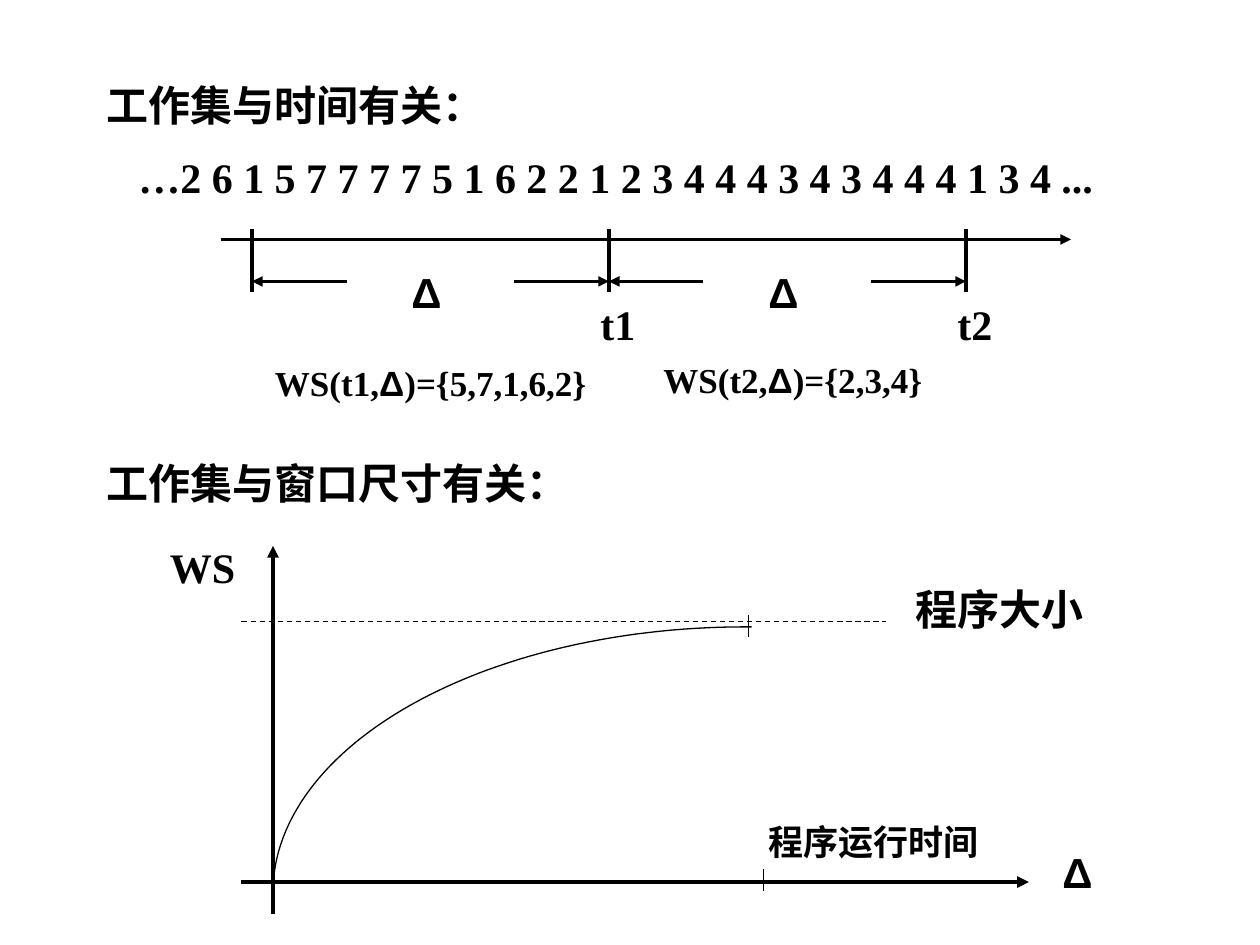
import math

from lxml import etree
from pptx import Presentation
from pptx.dml.color import RGBColor
from pptx.enum.dml import MSO_LINE
from pptx.enum.shapes import MSO_CONNECTOR
from pptx.oxml.ns import qn
from pptx.util import Inches, Pt

STRAIGHT = MSO_CONNECTOR.STRAIGHT
DASH = MSO_LINE.DASH
CELL = Inches(1) // 12
SERIF, SANS, LABEL = "Times New Roman", "Arial", "Roboto"
BLACK = "000000"


def rgb(value):
    return RGBColor.from_string(value)


def cells(*values):
    return [round(v * CELL) for v in values]


def add_text(slide, x, y, w, runs, h=6, size=24):
    tb = slide.shapes.add_textbox(*cells(x, y, w, h))
    tf = tb.text_frame
    tf.word_wrap = True
    p = tf.paragraphs[0]
    for text, font in runs:
        r = p.add_run()
        r.text = text
        for key, value in {"name": font, "size": Pt(size), "bold": True}.items():
            setattr(r.font, key, value)
        r.font.color.rgb = rgb(BLACK)


def add_line(slide, x1, y1, x2, y2, width, arrow=False, dash=None):
    c = slide.shapes.add_connector(STRAIGHT, *cells(x1, y1, x2, y2))
    c.line.color.rgb = rgb(BLACK)
    for key, value in {"width": Pt(width), "dash_style": dash}.items():
        setattr(c.line, key, value)
    if arrow:
        ln = c.line._get_or_add_ln()
        etree.SubElement(ln, qn("a:tailEnd"), type="triangle")
    etree.SubElement(c._element.spPr, qn("a:effectLst"))


def add_heading(slide, x, y, text):
    add_text(slide, x, y, 97, [(text, SERIF)])


def add_timeline(slide, x, y):
    pages = "…2 6 1 5 7 7 7 7 5 1 6 2 2 1 2 3 4 4 4 3 4 3 4 4 4 1 3 4 ..."
    add_text(slide, x, y, 101, [(pages, SERIF)])
    add_line(slide, x + 9, y + 9, x + 90, y + 9, 2, arrow=True)

    window = 34
    ticks = [x + 12 + i * window for i in range(3)]
    for tick in ticks:
        add_line(slide, tick, y + 8, tick, y + 14, 1.75)
    for name, start, end in zip(("t1", "t2"), ticks, ticks[1:]):
        add_line(slide, start + 9, y + 13, start, y + 13, 2, arrow=True)
        add_line(slide, end - 9, y + 13, end, y + 13, 2, arrow=True)
        add_text(slide, start + 14, y + 11, 7, [("Δ", SANS)])
        add_text(slide, end - 2, y + 14, 6, [(name, SERIF)])

    sets = [("t1", "5,7,1,6,2", 13, 20), ("t2", "2,3,4", 50, 19.8)]
    for name, members, dx, dy in sets:
        runs = [(f"WS({name},", SERIF), ("Δ", SANS), (f")={{{members}}}", SERIF)]
        add_text(slide, x + dx, y + dy, 33, runs, h=5.3, size=20)


def add_curve(slide, cx, cy, rx, ry, tail):
    steps = 60
    angles = [math.pi / 2 * i / steps for i in range(steps + 1)]
    points = [cells(cx - rx * math.cos(a), cy - ry * math.sin(a)) for a in angles]
    points.append(cells(cx + tail, cy - ry))
    fb = slide.shapes.build_freeform(*points[0])
    fb.add_line_segments(points[1:], close=False)
    sp = fb.convert_to_shape()
    sp.shadow.inherit = False
    sp.fill.background()
    sp.line.color.rgb = rgb(BLACK)
    sp.line.width = Pt(0.75)


def add_growth_graph(slide, x, y):
    add_line(slide, x + 8, y + 33, x + 83, y + 33, 2.25, arrow=True)
    add_line(slide, x + 11, y + 36, x + 11, y + 1, 2.25, arrow=True)
    add_line(slide, x + 8, y + 8.2, x + 69.4, y + 8.2, 0.75, dash=DASH)
    add_curve(slide, x + 56, y + 34, 45, 25.3, 0.6)
    for dx, top in ((57.7, 31.8), (56.3, 7.6)):
        add_line(slide, x + dx, y + top, x + dx, y + top + 2.1, 0.75)
    for text, font, dx, dy, w in (
        ("WS", SERIF, 0, 0, 12),
        ("程序大小", SERIF, 71, 4, 23),
        ("Δ", SANS, 85, 29, 9),
    ):
        add_text(slide, x + dx, y + dy, w, [(text, font)])
    add_text(slide, x + 57, y + 26.6, 29, [("程序运行时间", LABEL)], h=5.3, size=20)


def main():
    prs = Presentation()
    prs.slide_width, prs.slide_height = Inches(10), Inches(7.5)
    slide = prs.slides.add_slide(prs.slide_layouts[6])
    add_heading(slide, 9, 7, "工作集与时间有关：")
    add_timeline(slide, 12, 13.8)
    add_heading(slide, 9, 43, "工作集与窗口尺寸有关：")
    add_growth_graph(slide, 15, 51)
    prs.save("out.pptx")


if __name__ == "__main__":
    main()
